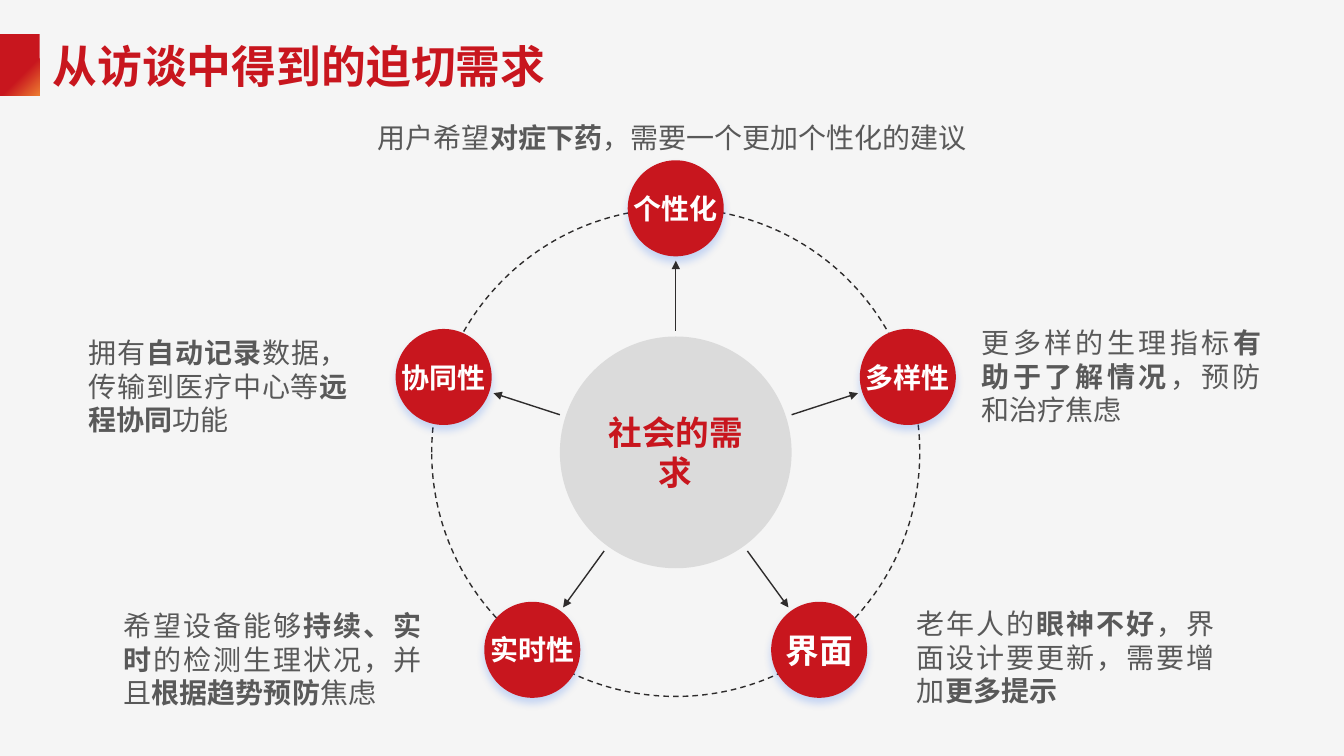
"""Build a slide showing five user needs arranged around a central theme."""
from dataclasses import dataclass
from math import cos, radians, sin

from lxml import etree
from pptx import Presentation, util as u
from pptx.dml.color import RGBColor
from pptx.enum import dml, shapes, text
from pptx.oxml import ns

RED = RGBColor(0xC8, 0x16, 0x1E)
ORANGE = RGBColor(0xED, 0x7D, 0x31)
WHITE = RGBColor(0xFF, 0xFF, 0xFF)
PAPER = RGBColor(0xF5, 0xF5, 0xF5)
SILVER = RGBColor(0xDB, 0xDB, 0xDB)
INK = RGBColor(0x2E, 0x2C, 0x2C)
GREY = RGBColor(0x59, 0x59, 0x59)
GLOW = RGBColor(0x00, 0x51, 0xEB)

FONT = "Roboto"
CENTER_X, CENTER_Y = 17.03, 11.4
RING_RADIUS, CORE_RADIUS, NODE_RADIUS = 6.15, 2.92, 1.21
ARROW_START, ARROW_END = 3.07, 4.83


@dataclass(frozen=True)
class Need:
    """A need: its node label and a note whose spans alternate plain and bold."""
    label: str
    size: int
    note: tuple[str, ...]
    frame: tuple[float, float, float, float]
    align: text.PP_ALIGN = text.PP_ALIGN.JUSTIFY


NEEDS = [
    Need("个性化", 20, ("用户希望", "对症下药", "，需要一个更加个性化的建议"),
         (6.05, 2.92, 21.79, 1.12), text.PP_ALIGN.CENTER),
    Need("多样性", 20, ("更多样的生理指标", "有助于了解情况", "，预防和治疗焦虑"),
         (24.49, 8.08, 7.54, 2.82)),
    Need("界面", 24, ("老年人的", "眼神不好", "，界面设计要更新，需要增加", "更多提示"),
         (22.86, 15.16, 8, 2.82)),
    Need("实时性", 20, ("希望设备能够", "持续、实时", "的检测生理状况，并且", "根据趋势预防", "焦虑"),
         (2.87, 15.21, 8, 2.82)),
    Need("协同性", 20, ("拥有", "自动记录", "数据，传输到医疗中心等", "远程协同", "功能"),
         (1.98, 8.33, 7.04, 2.82)),
]


def add_span(para, words: str, size: int, color: RGBColor, bold: bool = True) -> None:
    """Append one formatted run to a paragraph."""
    span = para.add_run()
    span.text = words
    span.font.size = u.Pt(size)
    span.font.name = FONT
    span.font.bold = bold
    span.font.color.rgb = color
    etree.SubElement(span.font._element, ns.qn("a:ea"), typeface=FONT)


def polar(radius: float, angle: float) -> tuple[float, float]:
    """Return the point at a clockwise angle from the top of the wheel."""
    turn = radians(angle)
    return CENTER_X + radius * sin(turn), CENTER_Y - radius * cos(turn)


def add_circle(page, x: float, y: float, radius: float, fill: RGBColor | None):
    """Draw a circle around a point, without outline or shadow."""
    circle = page.shapes.add_shape(
        shapes.MSO_SHAPE.OVAL, u.Cm(x - radius), u.Cm(y - radius), u.Cm(2 * radius), u.Cm(2 * radius))
    circle.shadow.inherit = False
    circle.line.fill.background()
    if fill is None:
        circle.fill.background()
    else:
        circle.fill.solid()
        circle.fill.fore_color.rgb = fill
    return circle


def add_label(circle, words: str, size: int, color: RGBColor, wrap: bool) -> None:
    """Centre a bold label inside a circle."""
    frame = circle.text_frame
    frame.word_wrap = wrap
    frame.vertical_anchor = text.MSO_ANCHOR.MIDDLE
    frame.margin_top = frame.margin_bottom = 0
    para = frame.paragraphs[0]
    para.alignment = text.PP_ALIGN.CENTER
    add_span(para, words, size, color)


def add_glow(shape) -> None:
    """Give a shape a soft blue shadow below it."""
    effects = shape.element.spPr.find(ns.qn("a:effectLst"))
    shadow = etree.SubElement(
        effects, ns.qn("a:outerShdw"), blurRad=str(u.Pt(6)), dist=str(u.Pt(4)),
        dir="5400000", algn="t", rotWithShape="0")
    color = etree.SubElement(shadow, ns.qn("a:srgbClr"), val=str(GLOW))
    etree.SubElement(color, ns.qn("a:alpha"), val="20000")


def add_arrow(page, angle: float) -> None:
    """Draw an arrow pointing outward from the core."""
    ends = polar(ARROW_START, angle) + polar(ARROW_END, angle)
    arrow = page.shapes.add_connector(shapes.MSO_CONNECTOR.STRAIGHT, *map(u.Cm, ends))
    arrow.line.color.rgb = INK
    arrow.line.width = u.Pt(1)
    properties = arrow.element.spPr
    etree.SubElement(properties.find(ns.qn("a:ln")), ns.qn("a:tailEnd"), type="triangle")
    etree.SubElement(properties, ns.qn("a:effectLst"))


def add_note(page, need: Need) -> None:
    """Write the explanation of a need."""
    box = page.shapes.add_textbox(*map(u.Cm, need.frame))
    box.text_frame.word_wrap = True
    para = box.text_frame.paragraphs[0]
    para.alignment = need.align
    for index, words in enumerate(need.note):
        add_span(para, words, 20, GREY, bold=index % 2 == 1)


def add_heading(page) -> None:
    """Draw the accent block and fill the title placeholder."""
    accent = page.shapes.add_shape(shapes.MSO_SHAPE.RECTANGLE, 0, u.Cm(0.86), u.Cm(1), u.Cm(1.55))
    accent.shadow.inherit = False
    accent.line.fill.background()
    accent.fill.gradient()
    accent.fill.gradient_angle = 315
    for stop, position, color in zip(accent.fill.gradient_stops, (0.62, 1), (RED, ORANGE)):
        stop.position = position
        stop.color.rgb = color

    title = page.shapes.title
    title.left, title.top, title.width, title.height = map(u.Cm, (1.07, 0.74, 24.84, 1.83))
    title.text_frame.auto_size = text.MSO_AUTO_SIZE.NONE
    title.text_frame.vertical_anchor = text.MSO_ANCHOR.MIDDLE
    para = title.text_frame.paragraphs[0]
    para.alignment = text.PP_ALIGN.LEFT
    add_span(para, "从访谈中得到的迫切需求", 32, RED)


def add_wheel(page) -> None:
    """Draw the core, the dashed ring and the needs around it."""
    core = add_circle(page, CENTER_X, CENTER_Y, CORE_RADIUS, SILVER)
    add_label(core, "社会的需求", 24, RED, wrap=True)
    ring = add_circle(page, CENTER_X, CENTER_Y, RING_RADIUS, None)
    ring.line.color.rgb = INK
    ring.line.width = u.Pt(1)
    ring.line.dash_style = dml.MSO_LINE.DASH

    for index, need in enumerate(NEEDS):
        angle = index * 360 / len(NEEDS)
        node = add_circle(page, *polar(RING_RADIUS, angle), NODE_RADIUS, RED)
        add_glow(node)
        add_label(node, need.label, need.size, WHITE, wrap=False)
        add_arrow(page, angle)
        add_note(page, need)


def main() -> None:
    """Build and save the deck."""
    deck = Presentation()
    deck.slide_width, deck.slide_height = u.Cm(33.87), u.Cm(19.05)
    page = deck.slides.add_slide(deck.slide_layouts[5])
    page.background.fill.solid()
    page.background.fill.fore_color.rgb = PAPER
    add_heading(page)
    add_wheel(page)
    deck.save("out.pptx")


if __name__ == "__main__":
    main()
